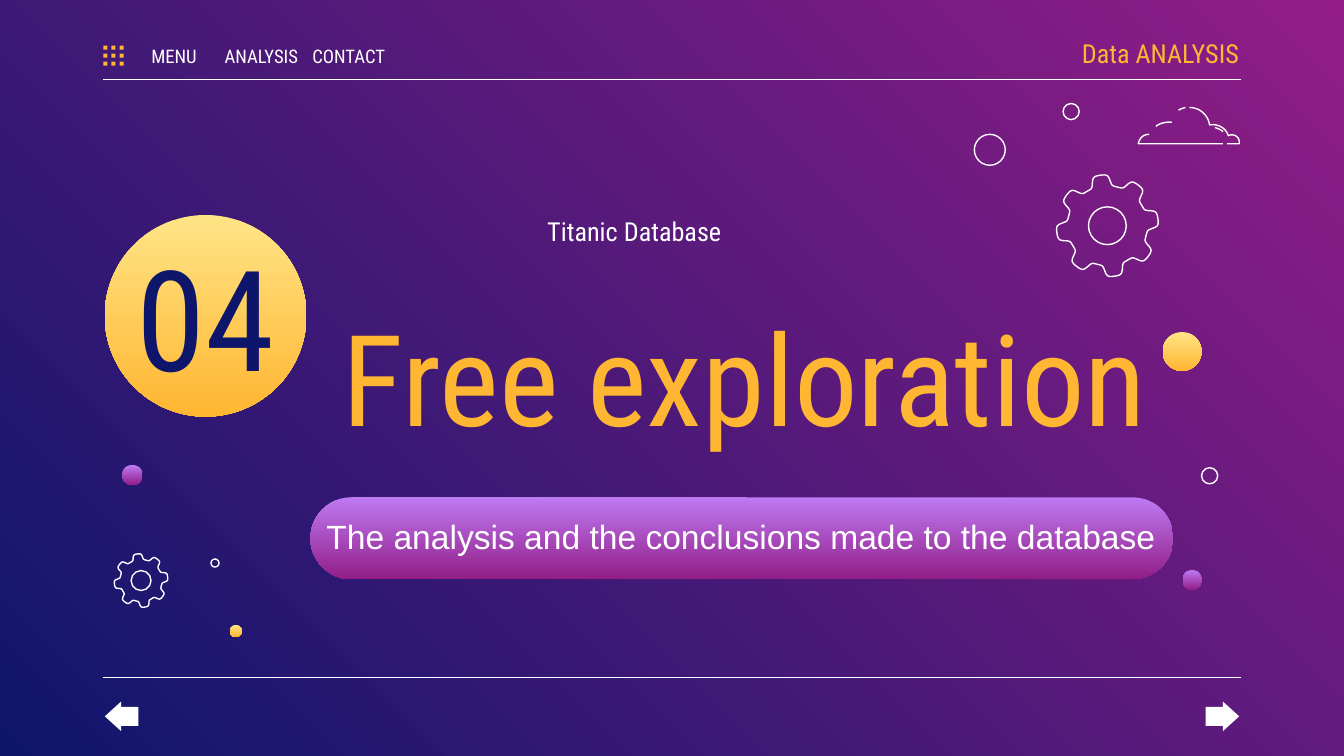
import math

from lxml import etree
from pptx import Presentation
from pptx.dml.color import RGBColor
from pptx.enum import shapes, text
from pptx.oxml.ns import qn
from pptx.util import Inches, Pt

WHITE, NAVY, AMBER = "FFFFFF", "0E166C", "FFB632"
GOLD = ("FFE485", "FFB632")
PURPLE = ("BE7AF3", "921D87")
HEADING_FONT = "Roboto Condensed"
LEFT_EDGE, RIGHT_EDGE = 0.77, 9.23

TITLE = ("Free exploration", (2.45, 2.31, 6.88, 0.97))
SUBTITLE = ("The analysis and the conclusions made to the database", (2.33, 3.83, 6.42, 0.31))
NUMBER = ("04", (0.78, 1.93, 1.5, 0.83))
DATABASE = ("Titanic Database", (2.52, 1.55, 4.4, 0.71))
SECTION = ("Data ANALYSIS", (7.72, 0.23, 1.5, 0.33))
MENU = ["MENU", "ANALYSIS", "CONTACT"]
RULES = [0.59, 5.04]
PILL = (2.31, 3.7, 6.42, 0.61)

# left, top, width, height, gradient (None for an outline)
CIRCLES = [
    (0.78, 1.6, 1.5, 1.5, GOLD),
    (7.91, 0.77, 0.12, 0.12, None),
    (8.65, 2.47, 0.29, 0.29, GOLD),
    (0.91, 3.46, 0.15, 0.15, PURPLE),
    (1.71, 4.65, 0.09, 0.09, GOLD),
    (8.94, 3.48, 0.12, 0.12, None),
    (7.25, 1, 0.23, 0.23, None),
    (1.57, 4.16, 0.06, 0.06, None),
    (8.8, 4.24, 0.14, 0.15, PURPLE),
]
# centre x, centre y, outer radius
GEARS = [(8.24, 1.68, 0.38), (1.05, 4.32, 0.2)]
# each stroke: start point, then segments of one point (line) or three (curve)
CLOUD = [
    [[(8.85, 0.8)],
     [(8.93, 0.8), (8.99, 0.86), (9, 0.93)],
     [(9.06, 0.92), (9.12, 0.95), (9.14, 1.01)],
     [(9.18, 0.99), (9.23, 1.02), (9.22, 1.07)],
     [(9.13, 1.07)]],
    [[(8.82, 0.8)], [(8.82, 0.8), (8.78, 0.81), (8.77, 0.82)]],
    [[(9.1, 1.07)], [(8.47, 1.07)], [(8.47, 1.07), (8.48, 1), (8.55, 1)]],
    [[(9.04, 0.95)], [(9.04, 0.95), (9.08, 0.96), (9.1, 0.98)]],
    [[(8.72, 0.91)], [(8.72, 0.91), (8.65, 0.9), (8.6, 0.94)]],
]
ARROWS = [
    (shapes.MSO_SHAPE.LEFT_ARROW, 0.78),
    (shapes.MSO_SHAPE.RIGHT_ARROW, 8.97),
]


def rgb(colour):
    return RGBColor.from_string(colour)


def paint_gradient(fill, colours, clockwise_angle):
    fill.gradient()
    fill.gradient_angle = 360 - clockwise_angle
    for stop, colour, position in zip(fill.gradient_stops, colours, (0, 1)):
        stop.color.rgb = rgb(colour)
        stop.position = position


def style(shape, fill=None):
    """Fill with a colour or a gradient pair; without either, outline in white."""
    shape.shadow.inherit = False
    if fill is None:
        shape.fill.background()
        shape.line.color.rgb = rgb(WHITE)
        shape.line.width = Pt(0.75)
        return
    shape.line.fill.background()
    if isinstance(fill, tuple):
        paint_gradient(shape.fill, fill, 90)
    else:
        shape.fill.solid()
        shape.fill.fore_color.rgb = rgb(fill)


def add_preset(slide, kind, box, fill=None):
    shape = slide.shapes.add_shape(kind, *map(Inches, box))
    style(shape, fill)
    return shape


def add_outline(slide, points, close):
    (start, *rest) = [(Inches(x), Inches(y)) for x, y in points]
    builder = slide.shapes.build_freeform(*start)
    builder.add_line_segments(rest, close=close)
    style(builder.convert_to_shape())


def set_text(shape, wording, size, colour, font=HEADING_FONT, align=text.PP_ALIGN.LEFT,
             anchor=text.MSO_ANCHOR.MIDDLE, insets=(0.1, 0.1, 0.1, 0.1)):
    frame = shape.text_frame
    frame.text = wording
    frame.word_wrap = True
    frame.auto_size = text.MSO_AUTO_SIZE.NONE
    frame.vertical_anchor = anchor
    (frame.margin_left, frame.margin_top,
     frame.margin_right, frame.margin_bottom) = map(Inches, insets)
    paragraph = frame.paragraphs[0]
    paragraph.alignment = align
    run_font = paragraph.runs[0].font
    run_font.name, run_font.size = font, Pt(size)
    run_font.color.rgb = rgb(colour)


def add_text(slide, wording, box, *args, **options):
    set_text(slide.shapes.add_textbox(*map(Inches, box)), wording, *args, **options)


def curve_points(stroke, steps=12):
    """Flatten the stroke's lines and Bezier curves into points."""
    points = list(stroke[0])
    for segment in stroke[1:]:
        if len(segment) == 1:
            points += segment
            continue
        controls = [points[-1], *segment]
        for step in range(1, steps + 1):
            t = step / steps
            weights = [math.comb(3, i) * t ** i * (1 - t) ** (3 - i) for i in range(4)]
            points.append(tuple(sum(w * c[axis] for w, c in zip(weights, controls))
                                for axis in (0, 1)))
    return points


def gear_points(x, y, radius, teeth=8, steps=192):
    points = []
    for step in range(steps):
        angle = 2 * math.pi * step / steps
        wave = math.tanh(2.5 * math.cos(teeth * (angle + math.radians(98))))
        reach = radius * (0.89 + 0.11 * wave)
        points.append((x + reach * math.cos(angle), y + reach * math.sin(angle)))
    return points


def main():
    deck = Presentation()
    deck.slide_width = Inches(10)
    deck.slide_height = deck.slide_width * 9 // 16
    slide = deck.slides.add_slide(deck.slide_layouts[5])
    paint_gradient(slide.background.fill, ("921D87", NAVY), 135)

    for y in RULES:
        rule = slide.shapes.add_connector(shapes.MSO_CONNECTOR.STRAIGHT, Inches(LEFT_EDGE),
                                          Inches(y), Inches(RIGHT_EDGE), Inches(y))
        rule.line.color.rgb = rgb(WHITE)
        rule.line.width = Pt(0.75)
        etree.SubElement(rule._element.spPr, qn("a:effectLst"))

    pill = add_preset(slide, shapes.MSO_SHAPE.ROUNDED_RECTANGLE, PILL, PURPLE)
    pill.adjustments[0] = 0.5
    for *box, fill in CIRCLES:
        add_preset(slide, shapes.MSO_SHAPE.OVAL, box, fill)

    for x, y, radius in GEARS:
        add_outline(slide, gear_points(x, y, radius), close=True)
        hub = 0.37 * radius
        add_preset(slide, shapes.MSO_SHAPE.OVAL, (x - hub, y - hub, 2 * hub, 2 * hub))
    for stroke in CLOUD:
        add_outline(slide, curve_points(stroke), close=False)

    for kind, left in ARROWS:
        arrow = add_preset(slide, kind, (left, 5.22, 0.25, 0.22), WHITE)
        arrow.adjustments[0], arrow.adjustments[1] = 0.64, 0.55

    for row in range(3):
        for column in range(3):
            add_preset(slide, shapes.MSO_SHAPE.RECTANGLE,
                       (LEFT_EDGE + 0.06 * column, 0.34 + 0.06 * row, 0.03, 0.03), AMBER)

    title = slide.shapes.title
    wording, box = TITLE
    title.left, title.top, title.width, title.height = map(Inches, box)
    set_text(title, wording, 68, AMBER)

    centre = text.PP_ALIGN.CENTER
    add_text(slide, *SUBTITLE, 18, WHITE, font="Arial")
    add_text(slide, *NUMBER, 75, NAVY, align=centre)
    add_text(slide, *DATABASE, 14, WHITE, align=centre, anchor=text.MSO_ANCHOR.TOP,
             insets=(0.1, 0.05, 0.1, 0.05))
    add_text(slide, *SECTION, 14, AMBER, align=text.PP_ALIGN.RIGHT, insets=(0.1, 0.1, 0, 0.1))
    for index, entry in enumerate(MENU):
        add_text(slide, entry, (1.01 + 0.65 * index, 0.3, 0.57, 0.23), 10, WHITE,
                 align=centre, insets=(0, 0.1, 0, 0.1))

    deck.save("out.pptx")


if __name__ == "__main__":
    main()
